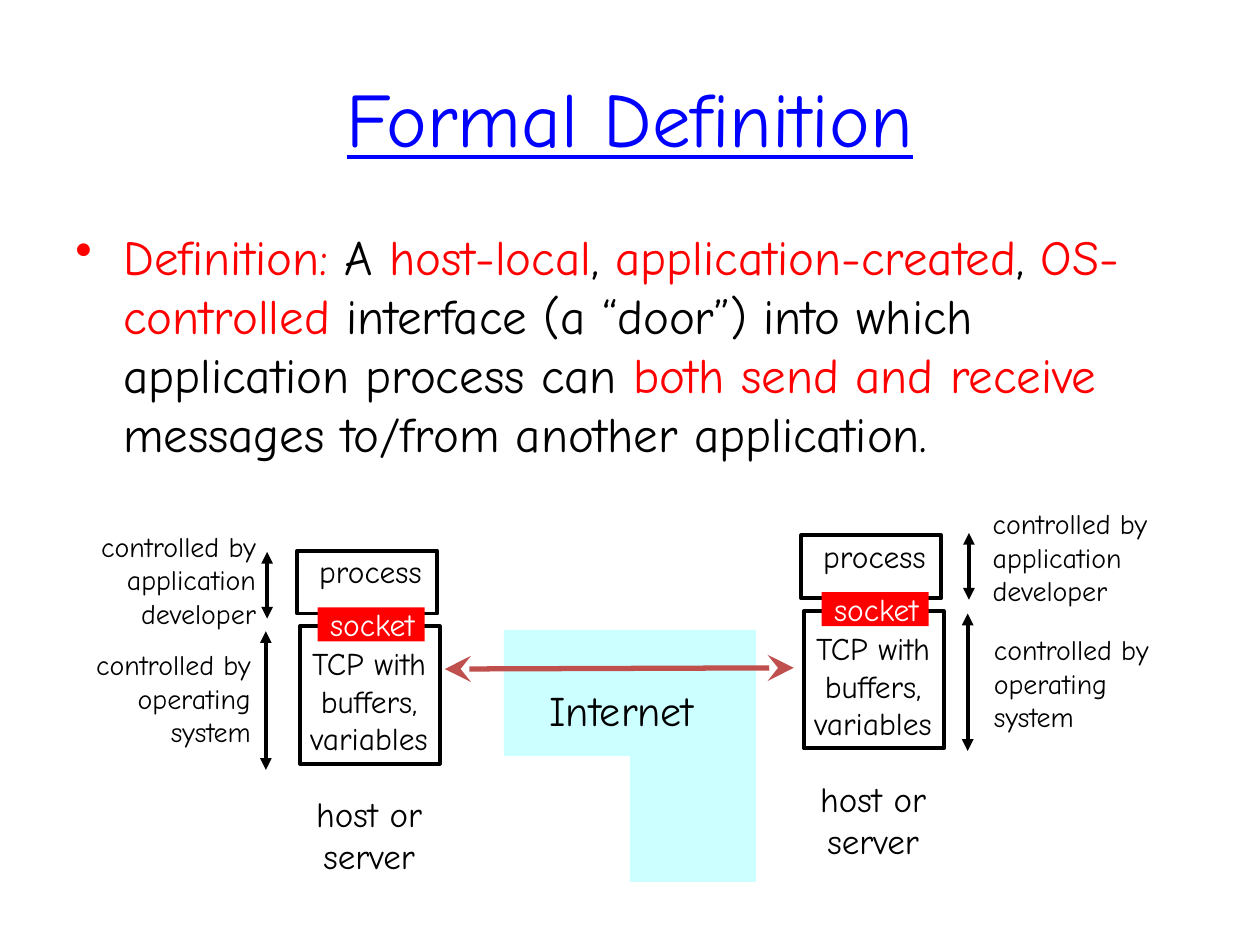
from dataclasses import dataclass

from lxml import etree
from pptx import Presentation
from pptx.dml.color import RGBColor
from pptx.enum.shapes import MSO_CONNECTOR, MSO_SHAPE
from pptx.enum.text import MSO_ANCHOR, MSO_AUTO_SIZE, PP_ALIGN
from pptx.oxml.ns import qn
from pptx.util import Inches, Pt

LEFT, CENTER, RIGHT = PP_ALIGN.LEFT, PP_ALIGN.CENTER, PP_ALIGN.RIGHT
TOP, MIDDLE = MSO_ANCHOR.TOP, MSO_ANCHOR.MIDDLE
FIT_SHAPE, NO_FIT = MSO_AUTO_SIZE.SHAPE_TO_FIT_TEXT, MSO_AUTO_SIZE.NONE
RECTANGLE, STRAIGHT = MSO_SHAPE.RECTANGLE, MSO_CONNECTOR.STRAIGHT


@dataclass(frozen=True)
class Theme:
    font: str = "Comic Neue"
    black: RGBColor = RGBColor(0, 0, 0)
    white: RGBColor = RGBColor(255, 255, 255)
    red: RGBColor = RGBColor(255, 0, 0)
    blue: RGBColor = RGBColor(0, 0, 255)
    cloud: RGBColor = RGBColor(0xCC, 0xFF, 0xFF)
    link: RGBColor = RGBColor(0xC0, 0x50, 0x4D)
    title_size: Pt = Pt(44)
    body_size: Pt = Pt(28)
    network_size: Pt = Pt(24)
    host_size: Pt = Pt(20)
    layer_size: Pt = Pt(18)
    note_size: Pt = Pt(16)
    outline: Pt = Pt(2.25)
    link_width: Pt = Pt(3)


THEME = Theme()

DEFINITION = [
    ("Definition: ", THEME.red), ("A ", THEME.black),
    ("host-local", THEME.red), (", ", THEME.black),
    ("application-created", THEME.red), (", ", THEME.black),
    ("OS-controlled ", THEME.red),
    ("interface (a “door”) into which application process can ", THEME.black),
    ("both send and receive ", THEME.red),
    ("messages to/from another application.", THEME.black),
]

# Cloud outline: start point, then two control points and an end point per curve
CLOUD_START = (4.3, 4.75)
CLOUD_CURVES = [
    ((4.12, 4.76), (4.04, 4.85), (3.99, 4.97)),
    ((3.93, 5.1), (3.97, 5.34), (3.98, 5.51)),
    ((3.98, 5.67), (3.96, 5.87), (4.01, 5.95)),
    ((4.07, 6.04), (4.16, 5.94), (4.31, 6.02)),
    ((4.46, 6.09), (4.73, 6.3), (4.92, 6.39)),
    ((5.11, 6.48), (5.31, 6.58), (5.45, 6.55)),
    ((5.59, 6.52), (5.69, 6.43), (5.76, 6.23)),
    ((5.83, 6.04), (5.87, 5.59), (5.87, 5.39)),
    ((5.87, 5.2), (5.9, 5.13), (5.77, 5.05)),
    ((5.64, 4.97), (5.32, 4.96), (5.07, 4.91)),
    ((4.83, 4.86), (4.48, 4.74), CLOUD_START),
]
CURVE_STEPS = 10


def apply(target, values):
    for name, value in values.items():
        setattr(target, name, value)


def inches(values):
    return [Inches(value) for value in values]


def add_text(shapes, box, lines, size, color=THEME.black, align=CENTER,
             underline=None, anchor=MIDDLE, wrap=False):
    """Each line is a string or a list of (text, colour) runs."""
    frame = shapes.add_textbox(*inches(box)).text_frame
    apply(frame, {"word_wrap": wrap, "vertical_anchor": anchor,
                  "auto_size": NO_FIT if wrap else FIT_SHAPE})
    for index, line in enumerate(lines):
        paragraph = frame.paragraphs[0] if index == 0 else frame.add_paragraph()
        paragraph.alignment = align
        for text, run_color in [(line, color)] if isinstance(line, str) else line:
            run = paragraph.add_run()
            run.text = text
            apply(run.font, {"name": THEME.font, "size": size, "underline": underline})
            run.font.color.rgb = run_color
    return frame


def add_bullet(paragraph, indent, color):
    properties = paragraph._p.get_or_add_pPr()
    for name, value in {"marL": Inches(indent), "indent": -Inches(indent)}.items():
        properties.set(name, str(value))
    bullet_color = etree.SubElement(properties, qn("a:buClr"))
    etree.SubElement(bullet_color, qn("a:srgbClr"), val=str(color))
    etree.SubElement(properties, qn("a:buChar"), char="•")


def add_rectangle(shapes, box, fill=None, outline=None):
    rectangle = shapes.add_shape(RECTANGLE, *inches(box))
    rectangle.shadow.inherit = False
    if fill is None:
        rectangle.fill.background()
    else:
        rectangle.fill.solid()
        rectangle.fill.fore_color.rgb = fill
    if outline is None:
        rectangle.line.fill.background()
    else:
        rectangle.line.color.rgb = outline
        rectangle.line.width = THEME.outline


def add_double_arrow(shapes, start, end, color, width, head, size):
    arrow = shapes.add_connector(STRAIGHT, *inches(start + end))
    arrow.line.color.rgb = color
    arrow.line.width = width
    outline = arrow.line._get_or_add_ln()
    for tip in ("a:headEnd", "a:tailEnd"):
        etree.SubElement(outline, qn(tip), type=head, w=size, len=size)
    etree.SubElement(arrow._element.spPr, qn("a:effectLst"))


def add_cloud(shapes):
    points, start = [], CLOUD_START
    for first, second, end in CLOUD_CURVES:
        for step in range(1, CURVE_STEPS + 1):
            t = step / CURVE_STEPS
            weights = ((1 - t) ** 3, 3 * t * (1 - t) ** 2, 3 * t * t * (1 - t), t ** 3)
            points.append(tuple(
                sum(weight * value for weight, value in zip(weights, axis))
                for axis in zip(start, first, second, end)))
        start = end
    builder = shapes.build_freeform(*CLOUD_START, scale=Inches(1))
    builder.add_line_segments(points, close=True)
    cloud = builder.convert_to_shape()
    cloud.shadow.inherit = False
    cloud.fill.solid()
    cloud.fill.fore_color.rgb = THEME.cloud
    cloud.line.fill.background()


def add_host(shapes, x, y):
    """Draw one host; x and y are the corner of its process box."""
    process = shapes.add_group_shape().shapes
    add_rectangle(process, (x, y, 1.11, 0.5), THEME.white, THEME.black)
    add_text(process, (x + 0.03, y - 0.04, 1.1, 0.4), ["process"], THEME.layer_size)

    transport = shapes.add_group_shape().shapes
    add_text(transport, (x - 0.05, y + 0.69, 1.24, 1),
             ["TCP with", "buffers,", "variables"], THEME.layer_size)
    add_rectangle(transport, (x + 0.02, y + 0.6, 1.11, 1.09), outline=THEME.black)

    socket = shapes.add_group_shape().shapes
    add_rectangle(socket, (x + 0.16, y + 0.45, 0.85, 0.27), THEME.red)
    add_text(socket, (x + 0.11, y + 0.38, 0.97, 0.4), ["socket"],
             THEME.layer_size, THEME.white)

    add_text(shapes, (x, y + 1.87, 1.14, 0.77), ["host or", "server"], THEME.host_size)


def add_control_note(shapes, corner, controller, align, arrow_x, top, bottom):
    add_text(shapes, (*corner, 1.56, 0.9), ["controlled by", *controller],
             THEME.note_size, align=align)
    add_double_arrow(shapes, (arrow_x, bottom), (arrow_x, top),
                     THEME.black, THEME.outline, "triangle", "med")


def main():
    deck = Presentation()
    apply(deck, {"slide_width": Inches(10), "slide_height": Inches(7.5)})
    shapes = deck.slides.add_slide(deck.slide_layouts[6]).shapes

    # Title and definition
    add_text(shapes, (0.5, 0.3, 9, 1.25), ["Formal Definition"], THEME.title_size,
             THEME.blue, underline=True, wrap=True)
    definition = add_text(shapes, (0.5, 1.75, 9, 4.95), [DEFINITION], THEME.body_size,
                          align=LEFT, anchor=TOP, wrap=True)
    add_bullet(definition.paragraphs[0], 0.38, THEME.red)

    # Hosts, with who controls each half
    add_host(shapes, 2.36, 4.37)
    add_host(shapes, 6.36, 4.25)
    developer = ["application", "developer"]
    system = ["operating", "system"]
    add_control_note(shapes, (0.57, 4.15), developer, RIGHT, 2.12, 4.38, 4.91)
    add_control_note(shapes, (0.53, 5.09), system, RIGHT, 2.11, 5.01, 6.11)
    add_control_note(shapes, (7.78, 3.97), developer, LEFT, 7.69, 4.23, 4.76)
    add_control_note(shapes, (7.79, 4.97), system, LEFT, 7.68, 4.87, 5.96)

    # Network between the hosts
    add_cloud(shapes)
    add_text(shapes, (4.15, 5.38, 1.57, 0.5), ["Internet"], THEME.network_size)
    add_double_arrow(shapes, (6.3, 5.3), (3.53, 5.31),
                     THEME.link, THEME.link_width, "stealth", "lg")

    deck.save("out.pptx")


if __name__ == "__main__":
    main()
